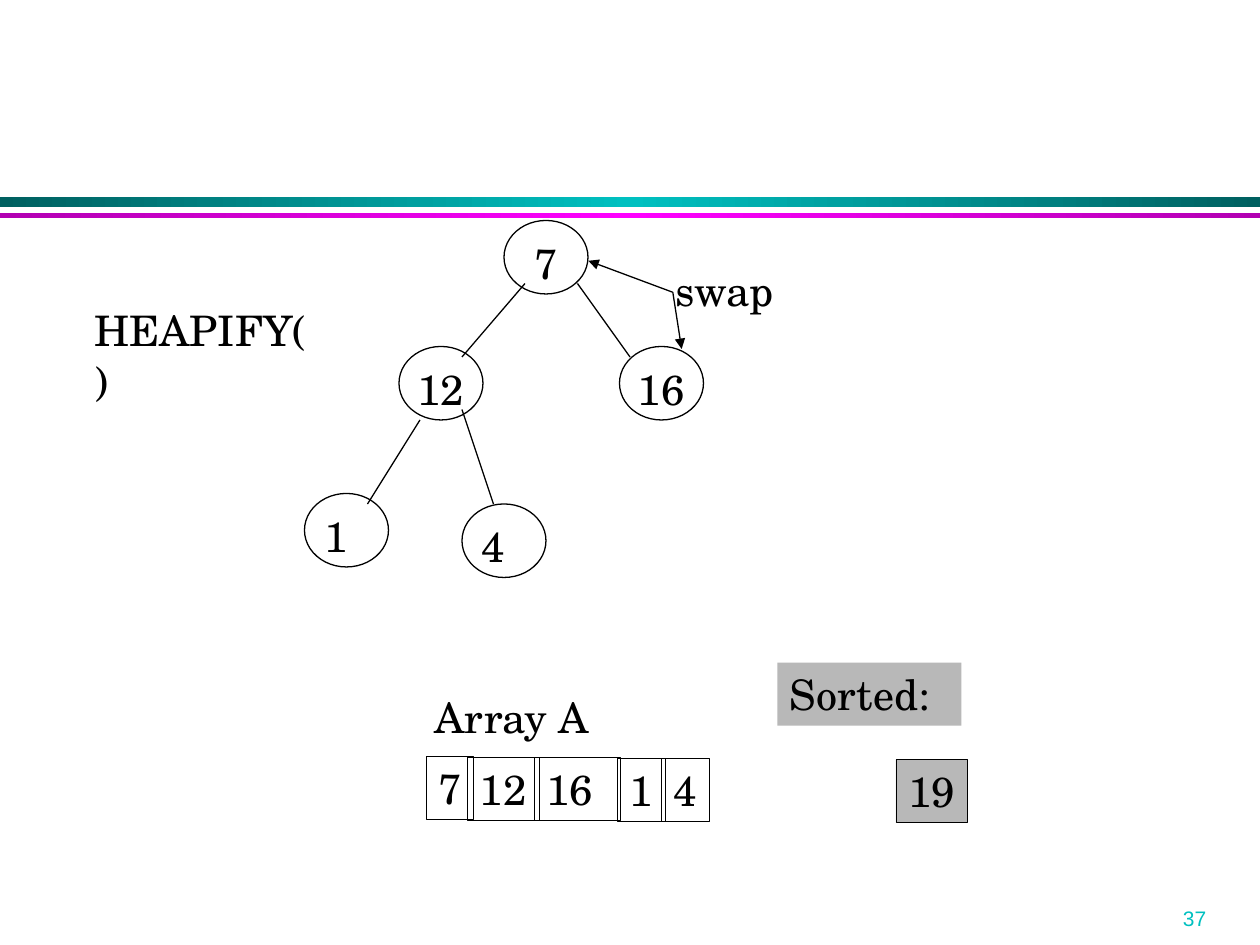
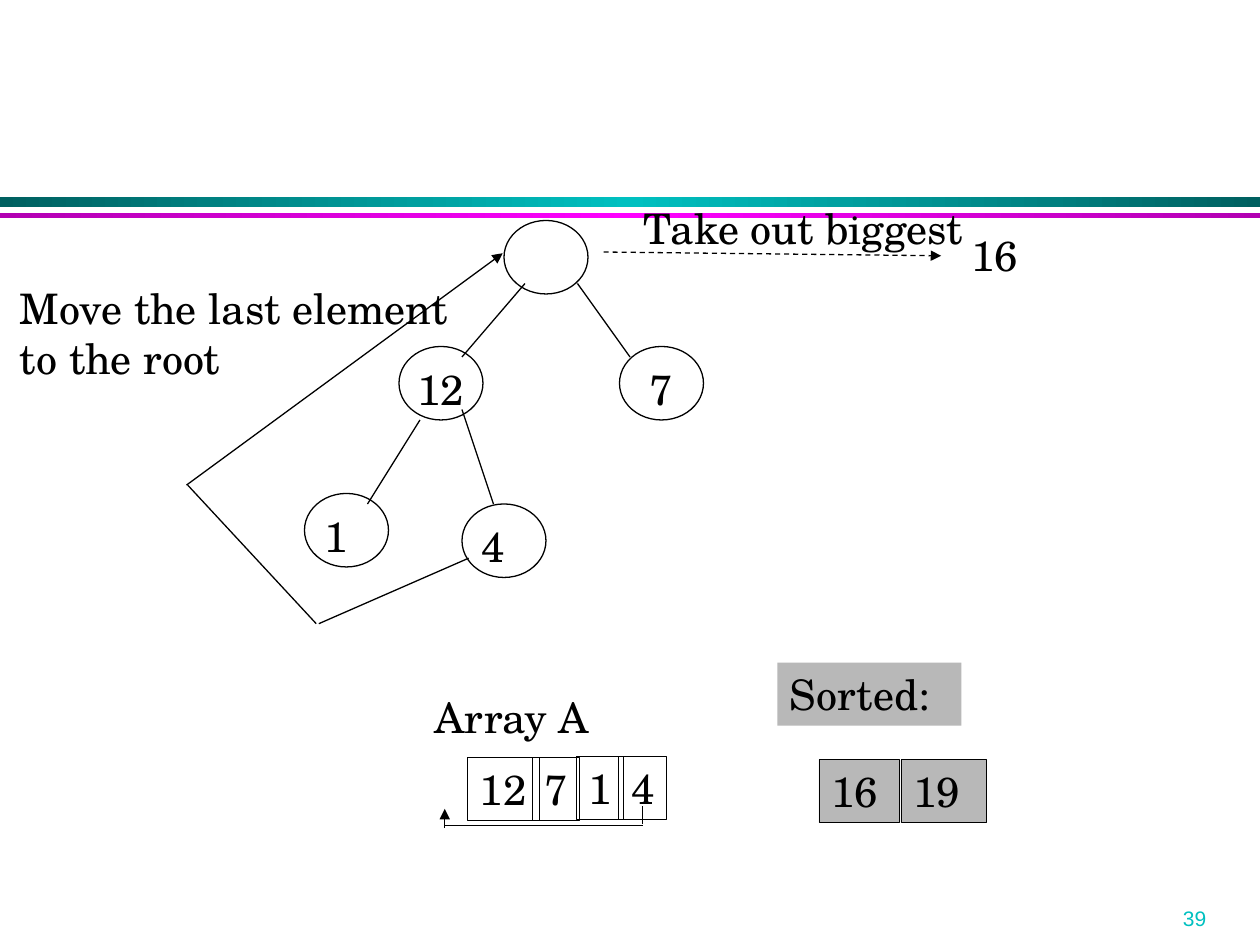
from copy import deepcopy

from pptx import Presentation
from pptx.dml.color import RGBColor
from pptx.enum.dml import MSO_LINE
from pptx.enum.shapes import MSO_CONNECTOR, MSO_SHAPE
from pptx.oxml.ns import qn
from pptx.util import Inches, Pt
from lxml.etree import SubElement

BLACK = RGBColor(0x00, 0x00, 0x00)
GREY = RGBColor(0xB8, 0xB8, 0xB8)
TEAL = RGBColor(0x00, 0xC0, 0xC0)
DEEP_TEAL = RGBColor(0x00, 0x60, 0x60)
PINK = RGBColor(0xFF, 0x00, 0xFF)
DEEP_PINK = RGBColor(0xB2, 0x00, 0xB2)

SERIF = "TeX Gyre Schola"
SANS = "Arial"
WIDE, HIGH = Inches(10), Inches(7.5)
COLS, ROWS = 120, 90
LINE = 6
NODE = (8, 7)

TREE = (29, 21)
ARRAY = (40.2, 65.28)
SORTED = (74.04, 63.12)

SPOTS = [(19, 0), (9, 12), (30, 12), (0, 26), (15, 27)]
SHIFTS = [0, 0, 0, -1, -1]
EDGES = [
    ((21, 6), (15, 13)),
    ((11, 19), (6, 27)),
    ((15, 18), (18, 27)),
    ((26, 6), (31, 13)),
]


def col(x):
    return round(WIDE * x / COLS)


def row(y):
    return round(HIGH * y / ROWS)


def grid(x, y, w, h):
    return col(x), row(y), col(w), row(h)


def span(words):
    return 2.28 * (1 + len(words))


def label(slide, home, spot, words, width=None, height=LINE, fill=None,
          edge=False, wrap=False, face=SERIF, size=24, color=BLACK):
    x, y = home[0] + spot[0], home[1] + spot[1]
    box = slide.shapes.add_textbox(*grid(x, y, width or span(words), height))
    if fill is not None:
        box.fill.solid()
        box.fill.fore_color.rgb = fill
    if edge:
        box.line.color.rgb = BLACK
        box.line.width = Pt(0.25)
    frame = box.text_frame
    frame.word_wrap = wrap
    frame.text = words
    for para in frame.paragraphs:
        para.font.name = face
        para.font.size = Pt(size)
        para.font.color.rgb = color


def stroke(slide, home, start, end, arrow=False, dash=False):
    x, y = home
    line = slide.shapes.add_connector(
        MSO_CONNECTOR.STRAIGHT,
        col(x + start[0]), row(y + start[1]),
        col(x + end[0]), row(y + end[1]))
    line.line.color.rgb = BLACK
    line.line.width = Pt(0.75)
    if dash:
        line.line.dash_style = MSO_LINE.DASH
    props = line.element.spPr
    if arrow:
        SubElement(props.find(qn("a:ln")), qn("a:tailEnd"), type="triangle")
    SubElement(props, qn("a:effectLst"))


def band(slide, layout, top, height, dark, light):
    bar = slide.shapes.add_shape(
        MSO_SHAPE.RECTANGLE, *grid(0, top, COLS, height))
    bar.shadow.inherit = False
    bar.line.fill.background()
    bar.fill.gradient()
    bar.fill.gradient_angle = 0
    first, last = bar.fill.gradient_stops
    first.color.rgb, first.position = dark, 0
    last.color.rgb, last.position = light, 0.5
    stops = bar.element.spPr.find(".//" + qn("a:gsLst"))
    end = deepcopy(stops[0])
    end.set("pos", "100000")
    stops.append(end)
    layout.shapes.element.append(bar.element)


def bands(slide, layout):
    band(slide, layout, 18.8, 0.96, DEEP_TEAL, TEAL)
    band(slide, layout, 20.28, 0.48, DEEP_PINK, PINK)


def number(slide, words):
    label(slide, (111.48, 85.68), (0, 0), words, 8, 3.6, wrap=True,
          face=SANS, size=12, color=TEAL)


def tree(slide, home, keys):
    x, y = home
    for (dx, dy), shift, key in zip(SPOTS, SHIFTS, keys):
        node = slide.shapes.add_shape(
            MSO_SHAPE.OVAL, *grid(x + dx, y + dy, *NODE))
        node.shadow.inherit = False
        node.fill.background()
        node.line.color.rgb = BLACK
        node.line.width = Pt(0.75)
        if key:
            left = dx + (NODE[0] - span(key)) / 2 + shift
            label(slide, home, (left, dy + 1), key)
    for start, end in EDGES:
        stroke(slide, home, start, end)


def cells(slide, home, items, fill=None):
    for words, left, top, width in items:
        label(slide, home, (left, top), words, width, fill=fill,
              edge=True, wrap=width is not None)


def array(slide, home, items):
    label(slide, home, (0, 0), "Array A", 17.16)
    cells(slide, home, items)


def done(slide, home, items):
    label(slide, home, (0, 0), "Sorted:", 17.52, fill=GREY, wrap=True)
    cells(slide, home, items, GREY)


def swap(slide, home):
    bend = (35.08, 6.84)
    for end in [(35.92, 12.24), (27.04, 3.84)]:
        stroke(slide, home, bend, end, arrow=True)
    label(slide, home, (34.12, 3.6), "swap", 11.88)
    label(slide, home, (-21.2, 7.44), "HEAPIFY()", 23.88)


def take(slide, home):
    stroke(slide, home, (28.48, 3), (60.64, 3.36), arrow=True, dash=True)
    label(slide, home, (31.12, -2.28), "Take out biggest", 33)
    label(slide, home, (62.32, 0.24), "16")


def move(slide, home):
    stroke(slide, home, (-11.24, 25.2), (18.88, 3.12), arrow=True)
    stroke(slide, home, (-11.12, 25.2), (1.12, 38.4))
    stroke(slide, home, (1.36, 38.4), (15.64, 32.16))
    label(slide, home, (-28.28, 5.28),
          "Move the last element\nto the root", 43.32, 10.8)


def loop(slide, home):
    stroke(slide, home, (21, 11.52), (21, 13.2))
    stroke(slide, home, (21, 13.32), (2.16, 13.32))
    stroke(slide, home, (2.16, 13.56), (2.16, 11.76), arrow=True)


def heapify(slide):
    tree(slide, TREE, ["7", "12", "16", "1", "4"])
    swap(slide, TREE)
    array(slide, ARRAY, [
        ("12", 4.32, 6.84, None),
        ("16", 10.68, 6.84, 8.16),
        ("1", 18.6, 6.96, None),
        ("4", 22.8, 6.96, None),
        ("7", 0.36, 6.72, None),
    ])
    done(slide, SORTED, [("19", 11.28, 9.24, None)])
    number(slide, "37")


def extract(slide):
    tree(slide, TREE, ["", "12", "7", "1", "4"])
    take(slide, TREE)
    move(slide, TREE)
    array(slide, ARRAY, [
        ("12", 4.32, 6.84, None),
        ("1", 14.64, 6.72, None),
        ("4", 18.72, 6.72, None),
        ("7", 10.44, 6.84, None),
    ])
    loop(slide, ARRAY)
    done(slide, SORTED, [
        ("19", 11.76, 9.24, 8.16),
        ("16", 3.96, 9.24, 7.68),
    ])
    number(slide, "39")


def main():
    deck = Presentation()
    deck.slide_width, deck.slide_height = WIDE, HIGH
    layout = deck.slide_layouts[6]
    first, second = [deck.slides.add_slide(layout) for _ in range(2)]
    bands(first, layout)
    heapify(first)
    extract(second)
    deck.save("out.pptx")


if __name__ == "__main__":
    main()
